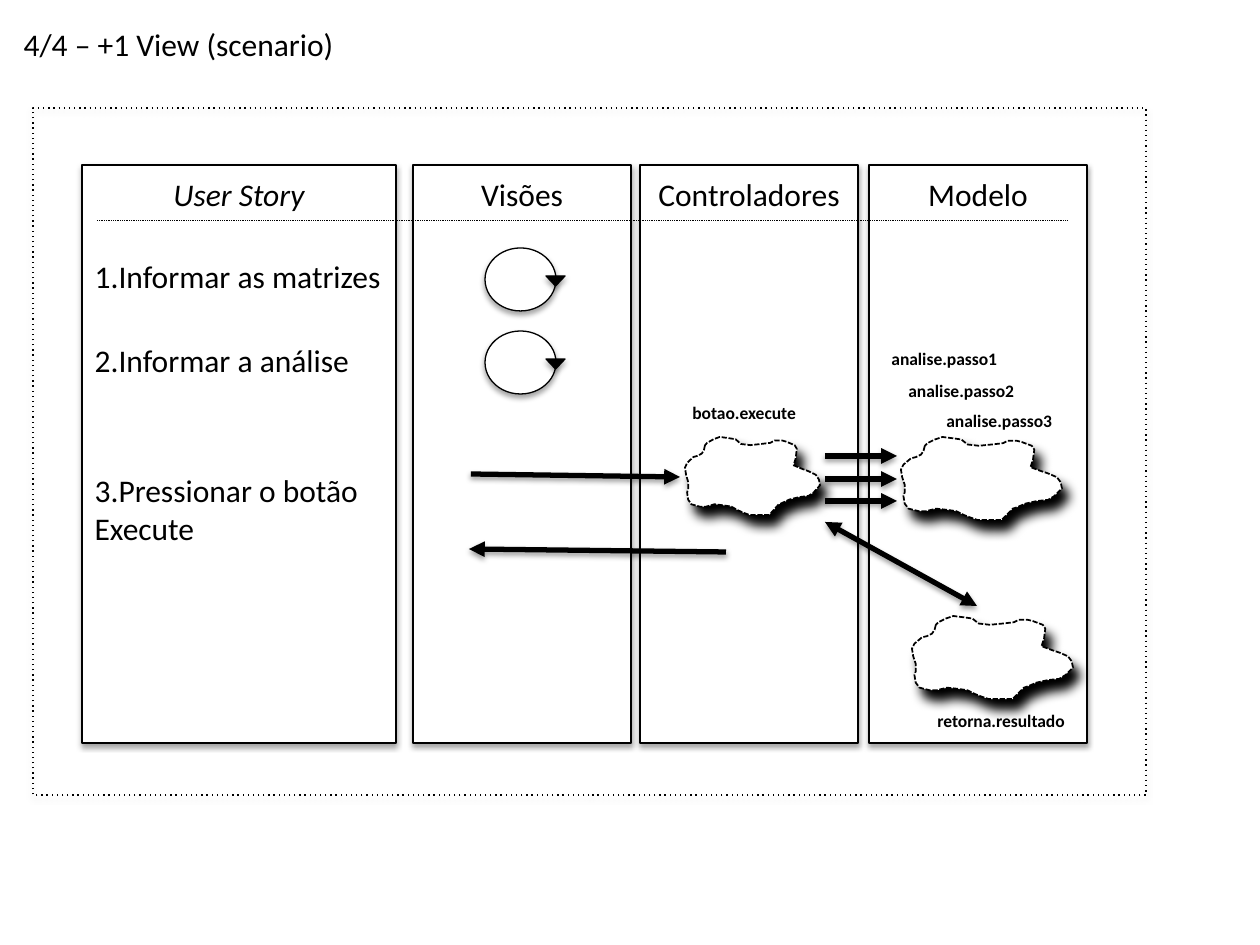
from typing import NamedTuple

from lxml.etree import SubElement
from pptx import Presentation
from pptx.dml.color import RGBColor
from pptx.enum.shapes import MSO_CONNECTOR, MSO_SHAPE
from pptx.enum.text import MSO_ANCHOR, MSO_AUTO_SIZE, PP_ALIGN
from pptx.oxml.ns import qn
from pptx.util import Emu, Pt

PX = 914400 / 126
BLACK = "000000"
WHITE = "FFFFFF"


class Shadow(NamedTuple):
    opacity: int
    blur: float
    distance: float
    angle: int


class Column(NamedTuple):
    heading: str
    left: int
    width: int
    italic: bool = False


class Cloud(NamedTuple):
    left: int
    top: int
    width: int
    height: int


class Label(NamedTuple):
    wording: str
    left: int
    top: int
    width: int


class Arrow(NamedTuple):
    start: tuple[int, int]
    end: tuple[int, int]
    double: bool = False


class Step(NamedTuple):
    wording: str
    gap: int


SOFT = Shadow(35, 3.1, 1.8, 90)
LINE_SHADOW = Shadow(38, 3.1, 1.6, 90)
HARD = Shadow(100, 6.5, 7, 57)

COLUMN_TOP, COLUMN_HEIGHT = 165, 578
COLUMNS = [
    Column("User Story", 82, 314, True),
    Column("Visões", 413, 218),
    Column("Controladores", 640, 218),
    Column("Modelo", 869, 218),
]
STEPS = [
    Step("1.Informar as matrizes", 0),
    Step("2.Informar a análise", 26),
    Step("3.Pressionar o botão", 53),
    Step("Execute", 0),
]
CLOUDS = [Cloud(685, 437, 135, 78), Cloud(901, 437, 161, 83), Cloud(912, 616, 161, 83)]
CLOUD_GRID = (128, 66)
CLOUD_OUTLINE = [
    (19, 7), (18, 11), (16, 14), (12, 16), (8, 17), (2, 22), (0, 26), (1, 32),
    (3, 38), (3, 44), (2, 47), (3, 53), (6, 57), (14, 59), (20, 59), (28, 57),
    (37, 58), (44, 59), (50, 62), (55, 64), (61, 66), (71, 66), (80, 66), (84, 62),
    (89, 57), (92, 56), (99, 53), (108, 51), (117, 50), (122, 47), (127, 42),
    (128, 41), (127, 36), (124, 32), (117, 29), (111, 27), (103, 24), (105, 18),
    (106, 10), (104, 7), (96, 4), (92, 3), (85, 3), (81, 5), (72, 6), (62, 7),
    (53, 6), (48, 2), (41, 1), (33, 0), (27, 2), (21, 5),
]
LOOP_TOPS = [248, 331]
ARROWS = [
    Arrow((471, 474), (680, 477)),
    Arrow((726, 552), (469, 549)),
    *[Arrow((825, height), (897, height)) for height in (456, 479, 501)],
    Arrow((825, 522), (977, 606), True),
]
LABELS = [
    Label("botao.execute", 680, 396, 132),
    Label("analise.passo1", 879, 342, 132),
    Label("analise.passo2", 896, 374, 132),
    Label("analise.passo3", 934, 404, 132),
    Label("retorna.resultado", 925, 704, 158),
]


def emu(pixels: float) -> Emu:
    return Emu(round(pixels * PX))


def color(value: str) -> RGBColor:
    return RGBColor.from_string(value)


def add_shadow(shape, shadow: Shadow) -> None:
    effects = SubElement(shape.element.spPr, qn("a:effectLst"))
    outer = SubElement(
        effects, qn("a:outerShdw"), blurRad=str(Pt(shadow.blur)), dist=str(Pt(shadow.distance)),
        dir=str(shadow.angle * 60000), algn="ctr", rotWithShape="0",
    )
    tint = SubElement(outer, qn("a:srgbClr"), val=BLACK)
    SubElement(tint, qn("a:alpha"), val=str(shadow.opacity * 1000))


def style_line(shape, width: float, dash: str = "solid") -> None:
    shape.line.width = Pt(width)
    shape.line.color.rgb = color(BLACK)
    SubElement(shape.element.spPr.find(qn("a:ln")), qn("a:prstDash"), val=dash)


def style_shape(shape, fill: str | None, width: float, shadow: Shadow, dash: str = "solid") -> None:
    if fill:
        shape.fill.solid()
        shape.fill.fore_color.rgb = color(fill)
    else:
        shape.fill.background()
    style_line(shape, width, dash)
    add_shadow(shape, shadow)


def place(box, left: int, top: int, width: int, height: int) -> None:
    box.left, box.top, box.width, box.height = map(emu, (left, top, width, height))


def add_span(para, wording: str, size: int = 18, bold: bool = False, italic: bool = False) -> None:
    span = para.add_run()
    span.text = wording
    span.font.name = "Calibri"
    span.font.size = Pt(size)
    span.font.bold = bold
    span.font.italic = italic
    span.font.color.rgb = color(BLACK)


def prepare_frame(box, wrap: bool):
    frame = box.text_frame
    frame.word_wrap = wrap
    frame.auto_size = MSO_AUTO_SIZE.SHAPE_TO_FIT_TEXT
    frame.vertical_anchor = MSO_ANCHOR.TOP
    return frame


def add_rectangle(page, left: int, top: int, width: int, height: int):
    return page.shapes.add_shape(MSO_SHAPE.RECTANGLE, *map(emu, (left, top, width, height)))


def add_column(page, column: Column) -> None:
    panel = add_rectangle(page, column.left, COLUMN_TOP, column.width, COLUMN_HEIGHT)
    style_shape(panel, WHITE, 1, SOFT)
    box = page.shapes.add_textbox(*map(emu, (column.left, 169, column.width, 50)))
    para = prepare_frame(box, True).paragraphs[0]
    para.alignment = PP_ALIGN.CENTER
    add_span(para, column.heading, italic=column.italic)


def add_cloud(page, cloud: Cloud) -> None:
    across, down = cloud.width / CLOUD_GRID[0], cloud.height / CLOUD_GRID[1]
    points = [(emu(cloud.left + x * across), emu(cloud.top + y * down)) for x, y in CLOUD_OUTLINE]
    builder = page.shapes.build_freeform(*points[0])
    builder.add_line_segments(points[1:], close=True)
    style_shape(builder.convert_to_shape(), WHITE, 1, HARD, "sysDash")


def add_loop(page, top: int) -> None:
    group = page.shapes.add_group_shape()
    ring = group.shapes.add_shape(MSO_SHAPE.OVAL, *map(emu, (485, top, 71, 63)))
    style_shape(ring, WHITE, 0.75, SOFT)
    tip = group.shapes.add_shape(MSO_SHAPE.ISOSCELES_TRIANGLE, *map(emu, (546, top + 28, 19, 10)))
    tip.rotation = 180
    style_shape(tip, BLACK, 0.75, SOFT)


def add_line(page, start: tuple[int, int], end: tuple[int, int], width: float, dash: str = "solid"):
    line = page.shapes.add_connector(MSO_CONNECTOR.STRAIGHT, *map(emu, (*start, *end)))
    style_line(line, width, dash)
    add_shadow(line, LINE_SHADOW)
    return line


def add_arrow(page, arrow: Arrow) -> None:
    outline = add_line(page, arrow.start, arrow.end, 3).element.spPr.find(qn("a:ln"))
    for end in ("a:headEnd", "a:tailEnd") if arrow.double else ("a:tailEnd",):
        SubElement(outline, qn(end), type="triangle")


def add_label(page, label: Label) -> None:
    box = page.shapes.add_textbox(*map(emu, (label.left, label.top, label.width, 34)))
    add_span(prepare_frame(box, False).paragraphs[0], label.wording, 10, bold=True)


def fill_title(title) -> None:
    place(title, 11, 19, 344, 50)
    para = prepare_frame(title, True).paragraphs[0]
    para.alignment = PP_ALIGN.LEFT
    add_span(para, "4/4 – +1 View (scenario)")


def fill_steps(body) -> None:
    place(body, 82, 251, 324, 305)
    frame = prepare_frame(body, False)
    for index, step in enumerate(STEPS):
        para = frame.add_paragraph() if index else frame.paragraphs[0]
        para.space_before = Pt(step.gap)
        add_span(para, step.wording)
        properties = para._p.get_or_add_pPr()
        properties.set("marL", "0")
        properties.set("indent", "0")
        SubElement(properties, qn("a:buNone"))
    body.element.getparent().append(body.element)


def main() -> None:
    deck = Presentation()
    deck.slide_width, deck.slide_height = emu(1260), emu(945)
    page = deck.slides.add_slide(deck.slide_layouts[1])
    fill_title(page.shapes.title)
    for draw, items in (
        (add_column, COLUMNS), (add_cloud, CLOUDS), (add_loop, LOOP_TOPS),
        (add_arrow, ARROWS), (add_label, LABELS),
    ):
        for item in items:
            draw(page, item)
    add_line(page, (97, 220), (1068, 220), 0.5, "sysDot")
    style_shape(add_rectangle(page, 33, 108, 1113, 687), None, 0.75, SOFT, "dot")
    fill_steps(page.placeholders[1])
    deck.save("out.pptx")


if __name__ == "__main__":
    main()
